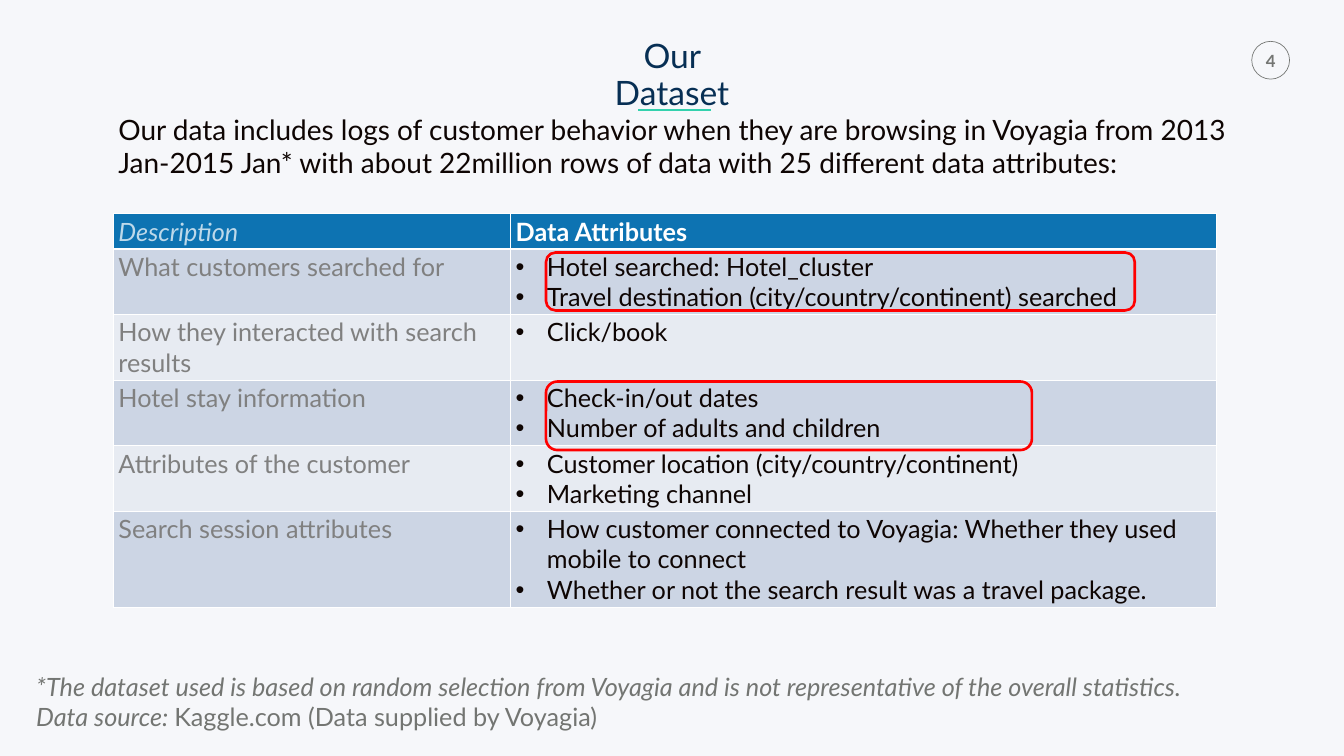
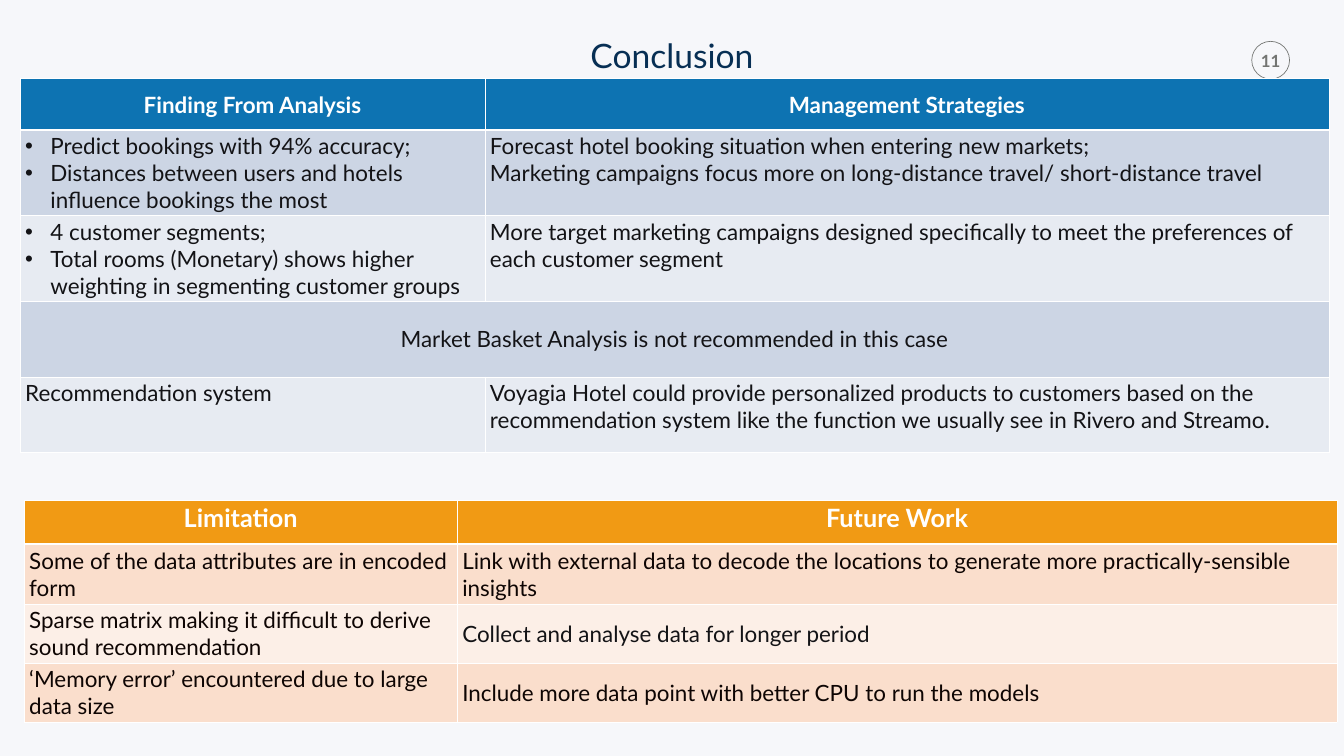
from dataclasses import dataclass

from lxml.etree import SubElement
from pptx import Presentation
from pptx.dml.color import RGBColor
from pptx.enum.shapes import MSO_CONNECTOR as Connector, MSO_SHAPE as Shape
from pptx.enum.text import MSO_ANCHOR as Anchor, PP_ALIGN as Align
from pptx.oxml.ns import qn
from pptx.util import Inches, Pt


@dataclass(frozen=True)
class Theme:
    """Colours, type sizes and grid shared by all pages."""
    font: str = "Lato"
    paper: str = "F6F7FA"
    navy: str = "072F54"
    grey: str = "737572"
    label: str = "808080"
    ink: str = "0E0503"
    dark: str = "131316"
    mint: str = "33D1AD"
    red: str = "FF0000"
    white: str = "FFFFFF"
    blue: tuple = ("0D73B2", "CCD5E4", "E7EBF2")
    orange: tuple = ("F19A14", "FADECC", "FCEFE7")
    title: int = 48
    lead: int = 40
    large: int = 36
    body: int = 32
    number: int = 24
    columns: float = 26.66
    rows: float = 15


THEME = Theme()


def write(frame, *lines, size=THEME.body, color=THEME.ink, bold=False, italic=False,
          align=None, spacing=None, bullet=0, alpha=100):
    """Fill a text frame with lines, each a string or (text, italic) spans."""
    for index, line in enumerate(lines):
        para = frame.add_paragraph() if index else frame.paragraphs[0]
        if bullet:
            props = para._p.get_or_add_pPr()
            props.set("marL", str(Inches(bullet)))
            props.set("indent", str(-Inches(bullet)))
            SubElement(props, qn("a:buFont"), typeface="Arial")
            SubElement(props, qn("a:buChar"), char="•")
        if align is not None:
            para.alignment = align
        if spacing:
            para.line_spacing = spacing
        for text, slanted in [(line, italic)] if isinstance(line, str) else line:
            span = para.add_run()
            span.text = text
            span.font.name = THEME.font
            span.font.size = Pt(size)
            span.font.bold = bold
            span.font.italic = slanted
            span.font.color.rgb = RGBColor.from_string(color)
            if alpha < 100:
                tint = span._r.find(".//" + qn("a:srgbClr"))
                SubElement(tint, qn("a:alpha"), val=str(alpha * 1000))


def entry(*lines, anchor=Anchor.TOP, **style):
    """Describe the content of one table cell."""
    return lines, anchor, style


class Deck:
    """Holds the style and the current page, and draws on a grid of cells."""

    def __init__(self, theme):
        """Start a deck with the page size of the theme."""
        self.theme = theme
        self.file = Presentation()
        self.file.slide_width = Inches(theme.columns)
        self.file.slide_height = Inches(theme.rows)
        self.page = None

    def add_page(self, number, title, width, inset=0):
        """Add a page with its number badge, rule and centred title."""
        theme = self.theme
        self.page = self.file.slides.add_slide(self.file.slide_layouts[6])
        fill = self.page.background.fill
        fill.solid()
        fill.fore_color.rgb = RGBColor.from_string(theme.paper)
        self.text((24.8, 0.9, 0.81, 0.61), str(number), wrap=False, inset=(0.2, 0.1),
                  size=theme.number, color=theme.grey, bold=True, align=Align.CENTER)
        self.outline(Shape.OVAL, (24.83, 0.82, 0.75, 0.75), theme.grey, 1)
        self.rule((14.1, 2.18), (12.66, 2.18), theme.mint, 3)
        self.text(((theme.columns - width) / 2, 0.74, width, 0.83), title,
                  inset=(inset, 0.05), size=theme.title, color=theme.navy,
                  align=Align.CENTER, spacing=0.9)

    def text(self, area, *lines, wrap=True, inset=(0.1, 0.05), **style):
        """Add a text box."""
        frame = self.page.shapes.add_textbox(*map(Inches, area)).text_frame
        frame.word_wrap = wrap
        frame.margin_left = frame.margin_right = Inches(inset[0])
        frame.margin_top = frame.margin_bottom = Inches(inset[1])
        write(frame, *lines, **style)

    def outline(self, kind, area, color, weight):
        """Add an unfilled shape."""
        shape = self.page.shapes.add_shape(kind, *map(Inches, area))
        shape.shadow.inherit = False
        shape.fill.background()
        shape.line.color.rgb = RGBColor.from_string(color)
        shape.line.width = Pt(weight)

    def rule(self, start, end, color, weight):
        """Add a straight line."""
        line = self.page.shapes.add_connector(Connector.STRAIGHT, *map(Inches, start + end))
        line.line.color.rgb = RGBColor.from_string(color)
        line.line.width = Pt(weight)
        SubElement(line._element.spPr, qn("a:effectLst"))

    def border(self, cell, heavy_bottom):
        """Draw white borders around a cell."""
        props = cell._tc.get_or_add_tcPr()
        for side in "LRTB":
            weight = 3 if heavy_bottom and side == "B" else 1
            line = SubElement(props, qn("a:ln" + side), w=str(Pt(weight)))
            fill = SubElement(line, qn("a:solidFill"))
            SubElement(fill, qn("a:srgbClr"), val=self.theme.white)

    def table(self, corner, widths, heights, colors, entries):
        """Add a table with a header and two alternating row colours."""
        head, *bands = colors
        area = (*corner, sum(widths), sum(heights))
        table = self.page.shapes.add_table(len(heights), len(widths),
                                           *map(Inches, area)).table
        table.horz_banding = False
        for column, width in zip(table.columns, widths):
            column.width = Inches(width)
        for row, height in zip(table.rows, heights):
            row.height = Inches(height)
        for r, row in enumerate(entries):
            for c in range(len(widths)):
                cell = table.cell(r, c)
                self.border(cell, heavy_bottom=r == 0)
                cell.fill.solid()
                cell.fill.fore_color.rgb = RGBColor.from_string(
                    bands[(r - 1) % 2] if r else head)
                if c < len(row):
                    lines, anchor, style = row[c]
                    cell.vertical_anchor = anchor
                    write(cell.text_frame, *lines, **style)
            if len(row) < len(widths):
                table.cell(r, 0).merge(table.cell(r, len(widths) - 1))


def dataset_page(deck):
    """Describe the data and its attributes."""
    theme = deck.theme
    deck.add_page(4, "Our Dataset", 3.76, inset=0.2)
    deck.text((2.25, 2.18, 22.26, 1.45),
              "Our data includes logs of customer behavior when they are browsing in "
              "Voyagia from 2013 Jan-2015 Jan* with about 22million rows of data with "
              "25 different data attributes:", size=theme.lead)
    attributes = {
        "What customers searched for": (
            "Hotel searched: Hotel_cluster",
            "Travel destination (city/country/continent) searched"),
        "How they interacted with search results": ("Click/book",),
        "Hotel stay information": ("Check-in/out dates", "Number of adults and children"),
        "Attributes of the customer": (
            "Customer location (city/country/continent)", "Marketing channel"),
        "Search session attributes": (
            "How customer connected to Voyagia: Whether they used mobile to connect",
            "Whether or not the search result was a travel package."),
    }
    header = [entry("Description", size=theme.large, color=theme.white, italic=True, alpha=72),
              entry("Data Attributes", size=theme.large, color=theme.white, bold=True)]
    body = [[entry(label, size=theme.large, color=theme.label),
             entry(*items, size=theme.large, bullet=0.62)]
            for label, items in attributes.items()]
    deck.table((2.25, 4.24), (7.88, 13.99), (0.7, *[1.3] * 4, 1.9), theme.blue,
               [header, *body])
    deck.text((0.62, 13.27, 24.88, 1.92),
              "*The dataset used is based on random selection from Voyagia and is not "
              "representative of the overall statistics.",
              [("Data source: ", True), ("Kaggle.com (Data supplied by Voyagia)", False)],
              size=theme.large, color=theme.grey, italic=True)
    for area in ((10.83, 7.57, 9.64, 1.36), (10.83, 5.01, 11.68, 1.15)):
        deck.outline(Shape.ROUNDED_RECTANGLE, area, theme.red, 3.75)


def conclusion_page(deck):
    """Sum up findings, strategies, limits and next steps."""
    theme = deck.theme
    deck.add_page(11, "Conclusion", 3.47)
    heading = dict(color=theme.white, bold=True, align=Align.CENTER)
    limits = [
        ("Some of the data attributes are in encoded form",
         "Link with external data to decode the locations to generate more "
         "practically-sensible insights", theme.ink),
        ("Sparse matrix making it difficult to derive sound recommendation",
         "Collect and analyse data for longer period", theme.dark),
        ("‘Memory error’ encountered due to large data size",
         "Include more data point with better CPU to run the models", theme.ink),
    ]
    header = [entry(text, size=theme.large, **heading) for text in ("Limitation", "Future Work")]
    body = [[entry(limit, anchor=Anchor.MIDDLE),
             entry(work, anchor=Anchor.MIDDLE, color=color)] for limit, work, color in limits]
    deck.table((0.48, 9.92), (8.59, 17.45), (0.87, 1.2, 1.17, 1.17), theme.orange,
               [header, *body])

    plain = dict(color=theme.dark)
    listed = dict(color=theme.dark, bullet=0.5)
    findings = [
        [entry(text, anchor=Anchor.MIDDLE, **heading)
         for text in ("Finding From Analysis", "Management Strategies")],
        [entry("Predict bookings with 94% accuracy;",
               "Distances between users and hotels influence bookings the most", **listed),
         entry("Forecast hotel booking situation when entering new markets;",
               "Marketing campaigns focus more on long-distance travel/ "
               "short-distance travel", **plain)],
        [entry("4 customer segments;",
               "Total rooms (Monetary) shows higher weighting in segmenting "
               "customer groups", **listed),
         entry("More target marketing campaigns designed specifically to meet the "
               "preferences of each customer segment", **plain)],
        [entry("Market Basket Analysis is not recommended in this case",
               anchor=Anchor.MIDDLE, align=Align.CENTER, **plain)],
        [entry("Recommendation system", **plain),
         entry("Voyagia Hotel could provide personalized products to customers based on "
               "the recommendation system like the function we usually see in Rivero "
               "and Streamo.", **plain)],
    ]
    deck.table((0.4, 1.56), (9.22, 16.74), (1.02, 1.7, 1.7, 1.5, 1.5), theme.blue, findings)


def main():
    """Build and save the deck."""
    deck = Deck(THEME)
    dataset_page(deck)
    conclusion_page(deck)
    deck.file.save("out.pptx")


if __name__ == "__main__":
    main()
